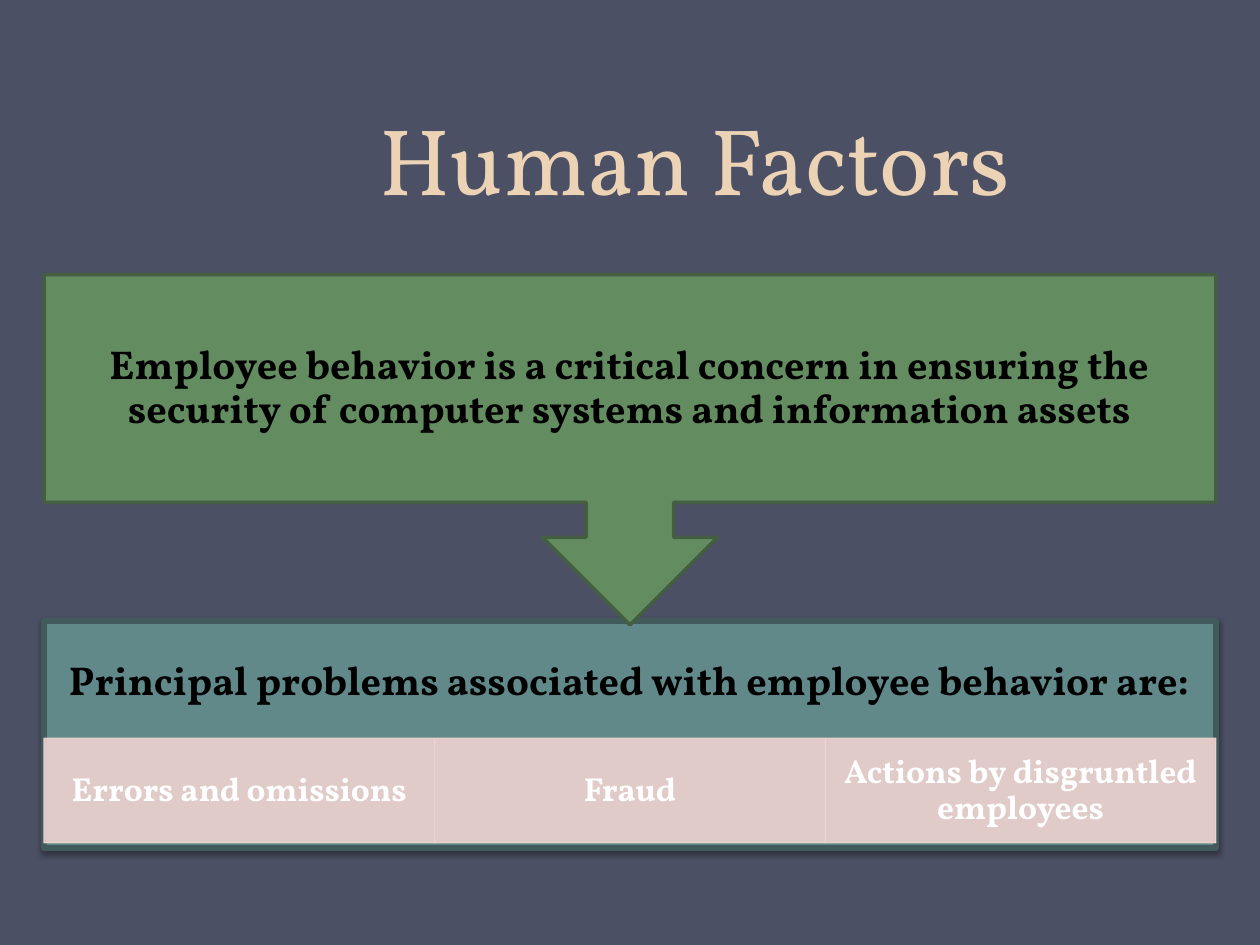
from dataclasses import dataclass

from lxml import etree
from pptx import Presentation
from pptx import util as u
from pptx.dml.color import RGBColor
from pptx.enum import shapes, text
from pptx.oxml.ns import qn


@dataclass(frozen=True)
class Theme:
    font: str = "Vollkorn"
    background: str = "4B5064"
    title: str = "EDD3B6"
    concern: str = "648C61"
    concern_edge: str = "435E40"
    panel: str = "61898A"
    panel_edge: str = "415B5C"
    problem: str = "EED3D0"
    dark: str = "000000"
    light: str = "FFFFFF"
    title_size: float = 54
    statement_size: float = 23
    problem_size: float = 19


theme = Theme()


def write(shape, wording, size, color, bold, margins, **paragraph_format):
    """Put one centred paragraph in a shape; margins are left, top, right, bottom."""
    frame = shape.text_frame
    frame.word_wrap = True
    for side, inset in zip(("left", "top", "right", "bottom"), margins):
        setattr(frame, f"margin_{side}", u.Inches(inset))
    paragraph = frame.paragraphs[0]
    paragraph.text = wording
    paragraph.alignment = text.PP_ALIGN.CENTER
    for name, value in paragraph_format.items():
        setattr(paragraph, name, value)
    font_format = {"name": theme.font, "size": u.Pt(size), "bold": bold}
    for name, value in font_format.items():
        setattr(paragraph.runs[0].font, name, value)
    paragraph.runs[0].font.color.rgb = RGBColor.from_string(color)


def add_box(preset, place, fill, edge, edge_width, opacity=100):
    """Add a filled, outlined shape without a shadow."""
    box = slide.shapes.add_shape(preset, *[u.Inches(length) for length in place])
    box.shadow.inherit = False
    box.fill.solid()
    box.fill.fore_color.rgb = RGBColor.from_string(fill)
    box.line.color.rgb = RGBColor.from_string(edge)
    box.line.width = u.Pt(edge_width)
    box.text_frame.vertical_anchor = text.MSO_ANCHOR.MIDDLE
    if opacity < 100:
        for color in box._element.spPr.iter(qn("a:srgbClr")):
            etree.SubElement(color, qn("a:alpha"), val=str(opacity * 1000))
    return box


prs = Presentation()
prs.slide_width, prs.slide_height = u.Inches(10), u.Inches(7.5)
slide = prs.slides.add_slide(prs.slide_layouts[5])
slide.background.fill.solid()
slide.background.fill.fore_color.rgb = RGBColor.from_string(theme.background)

# Title, set right of centre by its left margin
title = slide.shapes.title
title_place = {"left": 0, "top": 0.5, "width": 10, "height": 1.25}
for name, value in title_place.items():
    setattr(title, name, u.Inches(value))
title.text_frame.vertical_anchor = text.MSO_ANCHOR.BOTTOM
write(title, "Human Factors", theme.title_size, theme.title, False,
      (1.13, 0.05, 0.1, 0.05), line_spacing=u.Pt(58))

# Problems panel, its heading kept above the row of problems
left, width = 0.35, 9.3
panel_top, panel_height, heading_height, inset = 4.93, 1.8, 0.97, 0.18
panel = add_box(shapes.MSO_SHAPE.RECTANGLE, (left, panel_top, width, panel_height),
                theme.panel, theme.panel_edge, 3.5)
write(panel, "Principal problems associated with employee behavior are:",
      theme.statement_size, theme.dark, True,
      (inset, inset, inset, panel_height - heading_height + inset), line_spacing=0.9)

# Soft shadow below the panel
effects = panel._element.spPr.find(qn("a:effectLst"))
shadow = etree.SubElement(effects, qn("a:outerShdw"), blurRad=str(u.Pt(3.1)),
                          dist=str(u.Pt(1.8)), dir="5400000", rotWithShape="0")
shadow_color = etree.SubElement(shadow, qn("a:srgbClr"), val=theme.dark)
etree.SubElement(shadow_color, qn("a:alpha"), val="35000")

# Row of problems
problems = ["Errors and omissions", "Fraud", "Actions by disgruntled employees"]
problem_width = width / len(problems)
for column, problem in enumerate(problems):
    cell = add_box(shapes.MSO_SHAPE.RECTANGLE,
                   (left + column * problem_width, 5.86, problem_width, 0.83),
                   theme.problem, theme.problem, 0.75, opacity=90)
    write(cell, problem, theme.problem_size, theme.light, True,
          (0.15, 0.03, 0.15, 0.03), line_spacing=0.9)

# Concern that leads down to the problems
concern = add_box(shapes.MSO_SHAPE.DOWN_ARROW_CALLOUT, (left, 2.18, width, 2.78),
                  theme.concern, theme.concern_edge, 2)
write(concern, "Employee behavior is a critical concern in ensuring the security of "
      "computer systems and information assets",
      theme.statement_size, theme.dark, True, [inset] * 4, line_spacing=0.9)

prs.save("out.pptx")
